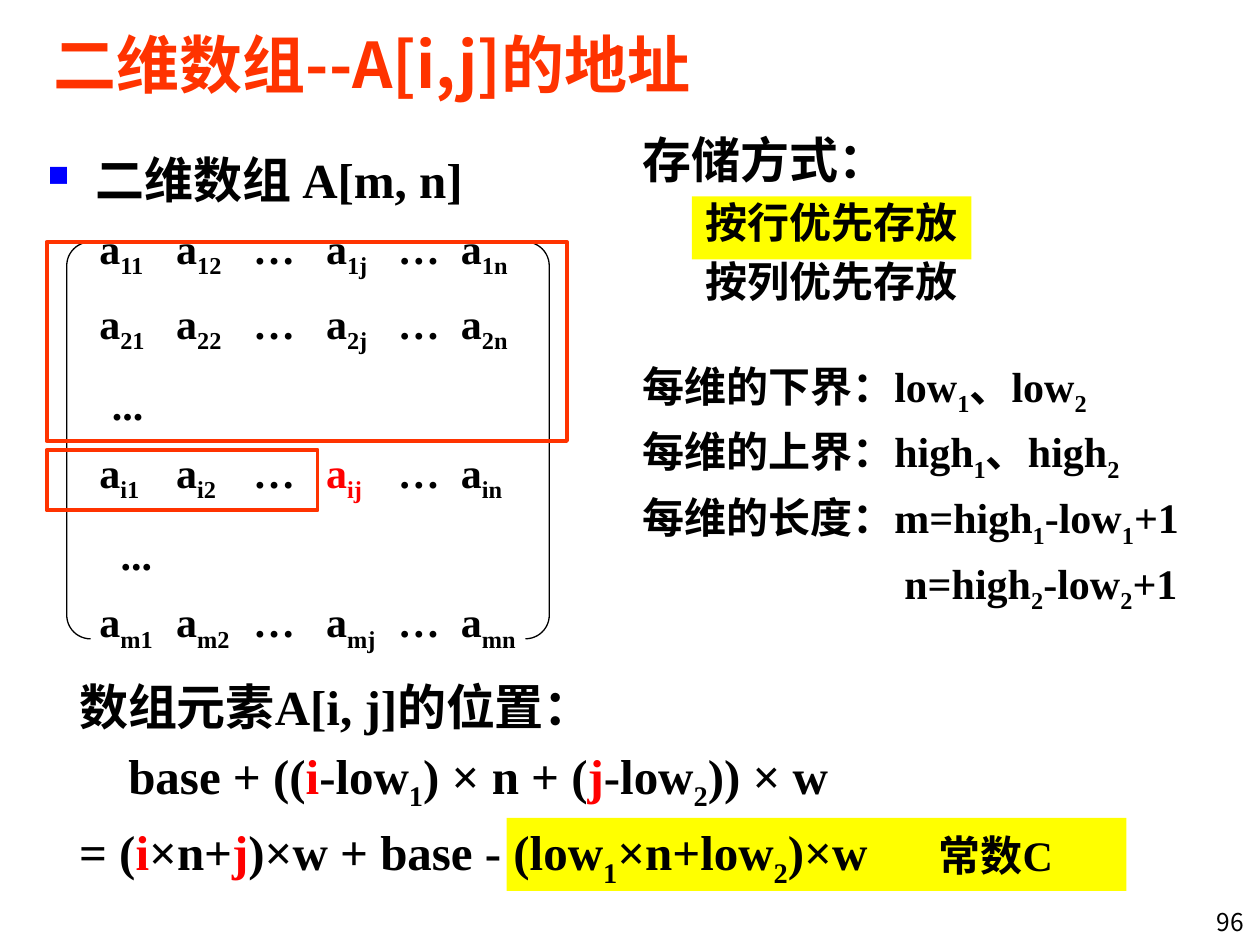
"""Build the slide on addressing A[i,j] in a two-dimensional array."""
from lxml import etree
from pptx import Presentation
from pptx.dml.color import RGBColor
from pptx.enum import shapes, text
from pptx.oxml.ns import qn
from pptx.util import Inches, Pt

COLORS = {"black": "000000", "red": "FF0000", "orange": "FF3300",
          "yellow": "FFFF00", "blue": "0000FF"}
SERIF, SANS = "Times New Roman", "Noto Sans CJK SC"


def add_runs(paragraph, markup, size, font=SERIF, color="black", bold=True):
    """Split markup at bars; "!" starts a red run and "_" a subscript."""
    for part in markup.split("|"):
        red = part.startswith("!")
        part = part[1:] if red else part
        subscript = part.startswith("_")
        run = paragraph.add_run()
        run.text = part[1:] if subscript else part
        run.font.size, run.font.bold, run.font.name = Pt(size), bold, font
        run.font.color.rgb = RGBColor.from_string(COLORS["red" if red else color])
        properties = run._r.get_or_add_rPr()
        etree.SubElement(properties, qn("a:ea"), typeface=SANS)
        if subscript:
            properties.set("baseline", "-25000")


def add_text(box, lines, font=SERIF, color="black", before=0.2, spacing=None,
             anchor=text.MSO_ANCHOR.TOP):
    """Add a text box from (markup, size, indent) lines."""
    frame = slide.shapes.add_textbox(*map(Inches, box)).text_frame
    frame.word_wrap, frame.vertical_anchor = True, anchor
    for index, (markup, size, indent) in enumerate(lines):
        paragraph = frame.paragraphs[0] if index == 0 else frame.add_paragraph()
        paragraph.space_before = Pt(before * size)
        paragraph.line_spacing = spacing
        paragraph._p.get_or_add_pPr().set("marL", str(Inches(indent)))
        add_runs(paragraph, markup, size, font, color)
    return frame


presentation = Presentation()
presentation.slide_width, presentation.slide_height = Inches(10), Inches(7.5)
slide = presentation.slides.add_slide(presentation.slide_layouts[6])

highlights = []
for box in [(4.02, 6.49, 4.92, 0.58), (5.49, 1.56, 2.22, 0.5)]:
    shape = slide.shapes.add_shape(shapes.MSO_SHAPE.RECTANGLE, *map(Inches, box))
    shape.shadow.inherit = False
    shape.fill.solid()
    shape.fill.fore_color.rgb = RGBColor.from_string(COLORS["yellow"])
    shape.line.fill.background()
    highlights.append(shape)
constant = highlights[0].text_frame
constant.margin_left = Inches(3.43)
constant.word_wrap = False
constant.paragraphs[0].alignment = text.PP_ALIGN.LEFT
add_runs(constant.paragraphs[0], "常数C", 24)

add_text((0.33, 0.17, 9.42, 0.67), [("二维数组--A[i,j]的地址", 36, 0)], SANS, "orange",
         anchor=text.MSO_ANCHOR.MIDDLE)

heading = add_text((0.28, 1.14, 3.92, 0.58), [("二维数组 ", 28, 0.38)], SANS).paragraphs[0]
add_runs(heading, "A[m, n]", 28)
properties = heading._p.get_or_add_pPr()
properties.set("indent", str(Inches(-0.38)))
bullet_color = etree.SubElement(properties, qn("a:buClr"))
etree.SubElement(bullet_color, qn("a:srgbClr"), val=COLORS["blue"])
etree.SubElement(properties, qn("a:buSzPct"), val="60000")
etree.SubElement(properties, qn("a:buChar"), char="■")

add_text((5, 0.98, 4.5, 1.67), [
    ("存储方式：", 28, 0), ("按行优先存放", 24, 0.5), ("按列优先存放", 24, 0.5),
], SANS)

add_text((5, 2.81, 4.77, 2.07), [
    ("每维的下界：low|_1|、low|_2", 24, 0),
    ("每维的上界：high|_1|、high|_2", 24, 0),
    ("每维的长度：m=high|_1|-low|_1|+1", 24, 0),
    ("n=high|_2|-low|_2|+1", 24, 2.08),
])

matrix_rows = []
for row in "12im":
    cells = []
    for column in "12jn":
        mark = "!" if row + column == "ij" else ""
        cells.append(f"{mark}a|{mark}_{row}{column}")
    cells.insert(2, "…")
    cells.insert(4, "…")
    matrix_rows.append(("|\t|".join(cells), 24, 0))
matrix_rows.insert(2, ("...", 24, 0.1))
matrix_rows.insert(4, ("...", 24, 0.17))
matrix = add_text((0.69, 1.78, 3.67, 3.25), matrix_rows, before=0, spacing=Pt(42.7),
                  anchor=text.MSO_ANCHOR.MIDDLE)
for paragraph in matrix.paragraphs:
    tabs = etree.SubElement(paragraph._p.get_or_add_pPr(), qn("a:tabLst"))
    for position in (0.61, 1.22, 1.8, 2.37, 2.87):
        etree.SubElement(tabs, qn("a:tab"), pos=str(Inches(position)), algn="l")

add_text((0.53, 5.32, 8.9, 1.83), [
    ("数组元素A[i, j]的位置：", 28, 0),
    ("base + ((|!i|-low|_1|) × n + (|!j|-low|_2|)) × w", 28, 0.39),
    ("= (|!i|×n+|!j|)×w + base - (low|_1|×n+low|_2|)×w", 28, 0),
])

for kind, box, color, width in [
    (shapes.MSO_SHAPE.DOUBLE_BRACKET, (0.53, 1.92, 3.83, 3.15), "black", 0.75),
    (shapes.MSO_SHAPE.RECTANGLE, (0.37, 1.92, 4.13, 1.58), "orange", 2.25),
    (shapes.MSO_SHAPE.RECTANGLE, (0.37, 3.57, 2.15, 0.48), "orange", 2.25),
]:
    shape = slide.shapes.add_shape(kind, *map(Inches, box))
    shape.shadow.inherit = False
    shape.fill.background()
    shape.line.color.rgb = RGBColor.from_string(COLORS[color])
    shape.line.width = Pt(width)
    if kind == shapes.MSO_SHAPE.DOUBLE_BRACKET:
        shape.adjustments[0] = 0.06

page_number = slide.shapes.add_textbox(*map(Inches, (9.14, 7.15, 0.83, 0.32))).text_frame
page_number.word_wrap = True
page_number.paragraphs[0].alignment = text.PP_ALIGN.RIGHT
add_runs(page_number.paragraphs[0], "96", 14, SANS, bold=False)

presentation.save("out.pptx")
